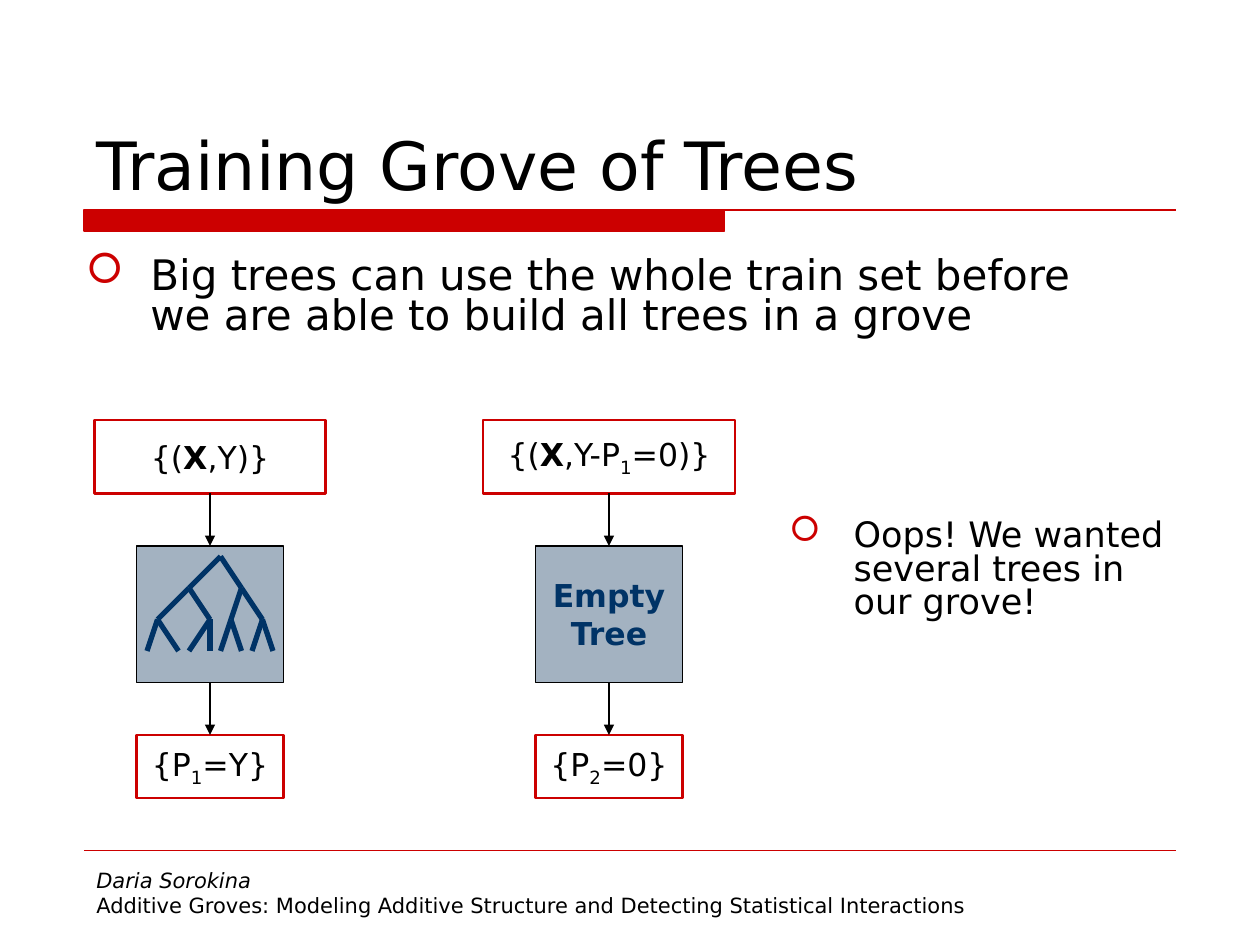
import dataclasses

import lxml.etree
import pptx
import pptx.dml.color
import pptx.enum.shapes
import pptx.enum.text
import pptx.oxml.ns
import pptx.util

qn = pptx.oxml.ns.qn
Align = pptx.enum.text.PP_ALIGN
Anchor = pptx.enum.text.MSO_ANCHOR


@dataclasses.dataclass(frozen=True)
class Theme:
    font: str = "DejaVu Sans"
    ink: str = "000000"
    accent: str = "CC0000"
    paper: str = "FFFFFF"
    panel: str = "A3B2C1"
    branch: str = "003366"
    title_size: int = 38
    body_size: int = 24
    remark_size: int = 20
    label_size: int = 18
    footer_size: int = 12


def rgb(value):
    return pptx.dml.color.RGBColor.from_string(value)


def grid(cells):
    """Length of a number of grid cells, twelve to the inch."""
    return pptx.util.Inches(cells / 12)


class SlideBuilder:
    def __init__(self, prs, theme):
        self.theme = theme
        self.slide = prs.slides.add_slide(prs.slide_layouts[1])
        self.shapes = self.slide.shapes

    def font(self, font, size, color=None, bold=False, italic=False):
        font.name, font.size = self.theme.font, pptx.util.Pt(size)
        font.color.rgb = rgb(color or self.theme.ink)
        font.bold, font.italic = bold, italic

    def place(self, shape, left, top, width, height):
        shape.left, shape.top = grid(left), grid(top)
        shape.width, shape.height = grid(width), grid(height)

    def title(self, text, *area):
        heading = self.shapes.title
        self.place(heading, *area)
        frame = heading.text_frame
        frame.text, frame.vertical_anchor = text, Anchor.BOTTOM
        frame.auto_size = pptx.enum.text.MSO_AUTO_SIZE.NONE
        frame.paragraphs[0].alignment = Align.LEFT
        self.font(frame.paragraphs[0].font, self.theme.title_size)

    def bullet(self, frame, text, size):
        frame.text, frame.word_wrap = text, True
        frame.auto_size = pptx.enum.text.MSO_AUTO_SIZE.NONE
        item = frame.paragraphs[0]
        item.line_spacing, item.space_before = 0.8, pptx.util.Pt(0)
        props = item._p.get_or_add_pPr()
        indent = pptx.util.Inches(0.51)
        props.set("marL", str(indent))
        props.set("indent", str(-indent))
        color = lxml.etree.SubElement(props, qn("a:buClr"))
        lxml.etree.SubElement(color, qn("a:srgbClr"), val=self.theme.accent)
        lxml.etree.SubElement(props, qn("a:buFont"), typeface="Wingdings")
        lxml.etree.SubElement(props, qn("a:buChar"), char="□")
        self.font(item.font, size)

    def body(self, text, *area):
        points = self.slide.placeholders[1]
        self.place(points, *area)
        self.bullet(points.text_frame, text, self.theme.body_size)

    def textbox(self, *area):
        frame = self.shapes.add_textbox(*map(grid, area)).text_frame
        frame.word_wrap = True
        return frame

    def remark(self, text, *area):
        self.bullet(self.textbox(*area), text, self.theme.remark_size)

    def footer(self, author, talk, *area):
        frame = self.textbox(*area)
        frame.text = f"{author}\n{talk}"
        for line, italic in zip(frame.paragraphs, (True, False)):
            self.font(line.font, self.theme.footer_size, italic=italic)

    def box(self, area, fill, edge, weight, lines=(), color=None, bold=False):
        """Rectangle; each line is a list of (text, style) runs."""
        kind = pptx.enum.shapes.MSO_SHAPE.RECTANGLE
        rect = self.shapes.add_shape(kind, *map(grid, area))
        self.paint(rect, fill, edge, weight)
        frame = rect.text_frame
        frame.word_wrap, frame.vertical_anchor = False, Anchor.MIDDLE
        for number, runs in enumerate(lines):
            line = frame.add_paragraph() if number else frame.paragraphs[0]
            line.alignment = Align.CENTER
            self.font(line.font, self.theme.label_size, color, bold)
            for text, style in runs:
                run = line.add_run()
                run.text = text
                if style == "bold":
                    run.font.bold = True
                elif style == "sub":
                    run._r.get_or_add_rPr().set("baseline", "-25000")
        return rect

    def paint(self, shape, fill, edge, weight):
        shape.shadow.inherit = False
        shape.fill.solid()
        shape.fill.fore_color.rgb = rgb(fill)
        shape.line.color.rgb = rgb(edge)
        shape.line.width = pptx.util.Pt(weight)

    def line(self, start, end, color, weight):
        kind = pptx.enum.shapes.MSO_CONNECTOR.STRAIGHT
        stroke = self.shapes.add_connector(kind, *map(grid, (*start, *end)))
        stroke.line.color.rgb = rgb(color)
        stroke.line.width = pptx.util.Pt(weight)
        lxml.etree.SubElement(stroke._element.spPr, qn("a:effectLst"))
        return stroke

    def arrow(self, upper, lower):
        stroke = self.line((0, 0), (0, 0), self.theme.ink, 0.75)
        stroke.begin_connect(upper, 2)
        stroke.end_connect(lower, 0)
        outline = stroke.line._get_or_add_ln()
        lxml.etree.SubElement(outline, qn("a:tailEnd"), type="triangle")

    def header_rule(self, left, top, bar_right, bar_bottom, right):
        scale = pptx.util.Inches(1) / 12
        outline = self.shapes.build_freeform(left, top, scale)
        outline.add_line_segments(
            [(bar_right, top), (bar_right, bar_bottom), (left, bar_bottom)])
        outline.move_to(left, top)
        outline.add_line_segments([(right, top)], close=False)
        self.paint(outline.convert_to_shape(), self.theme.accent,
                   self.theme.accent, 0.75)

    def stage(self, center, data_width, data, prediction, model=()):
        """Column of training data, model and prediction joined by arrows."""
        t = self.theme
        left = center - 7
        source = self.box((center - data_width / 2, 40, data_width, 7),
                          t.paper, t.accent, 1.5, [data])
        learner = self.box((left, 52, 14, 13), t.panel, t.ink, 0.75,
                           model, t.branch, True)
        result = self.box((left, 70, 14, 6), t.paper, t.accent, 1.5,
                          [prediction])
        self.arrow(source, learner)
        self.arrow(learner, result)

    def tree(self, center, top, step, levels):
        """Each level maps a node's column offset to those of its children."""
        for depth, nodes in enumerate(levels):
            y = top + depth * step
            for parent, children in nodes.items():
                for child in children:
                    self.line((center + parent, y), (center + child, y + step),
                              self.theme.branch, 3)


def main():
    prs = pptx.Presentation()
    prs.slide_width, prs.slide_height = grid(120), grid(90)
    page = SlideBuilder(prs, Theme())

    # Heading, rules and footer
    page.header_rule(8, 20.5, 69.1, 22, 112.4)
    page.line((8, 81), (112, 81), page.theme.accent, 0.25)
    page.footer("Daria Sorokina",
                "Additive Groves: Modeling Additive Structure and "
                "Detecting Statistical Interactions", 8, 82, 96, 6.25)
    page.title("Training Grove of Trees", 8, 4, 105, 16)
    page.body("Big trees can use the whole train set before "
              "we are able to build all trees in a grove", 7, 24, 103, 13)

    # First stage: a full tree
    page.stage(20, 22, [("{(", ""), ("X", "bold"), (",Y)}", "")],
               [("{P", ""), ("1", "sub"), ("=Y}", "")])
    page.tree(20, 53, 3, [
        {1: (-2, 3)},
        {-2: (-5, 0), 3: (2, 5)},
        {-5: (-3, -6), 0: (-2, 0), 2: (1, 3), 5: (6, 4)},
    ])

    # Second stage: nothing left to learn
    page.stage(58, 24,
               [("{(", ""), ("X", "bold"), (",Y-P", ""), ("1", "sub"),
                ("=0)}", "")],
               [("{P", ""), ("2", "sub"), ("=0}", "")],
               [[("Empty", "")], [("Tree", "")]])
    page.remark("Oops! We wanted several trees in our grove!", 74, 49, 40, 14)

    prs.save("out.pptx")


if __name__ == "__main__":
    main()
